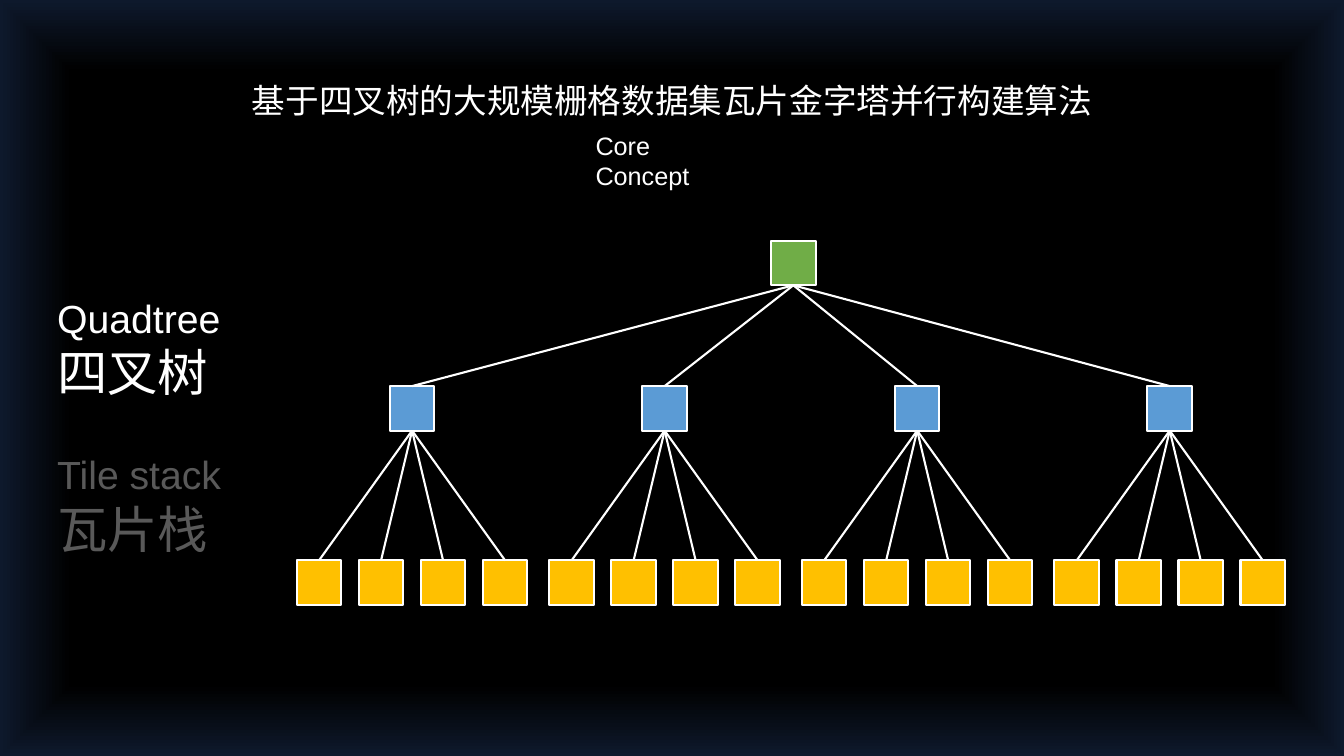
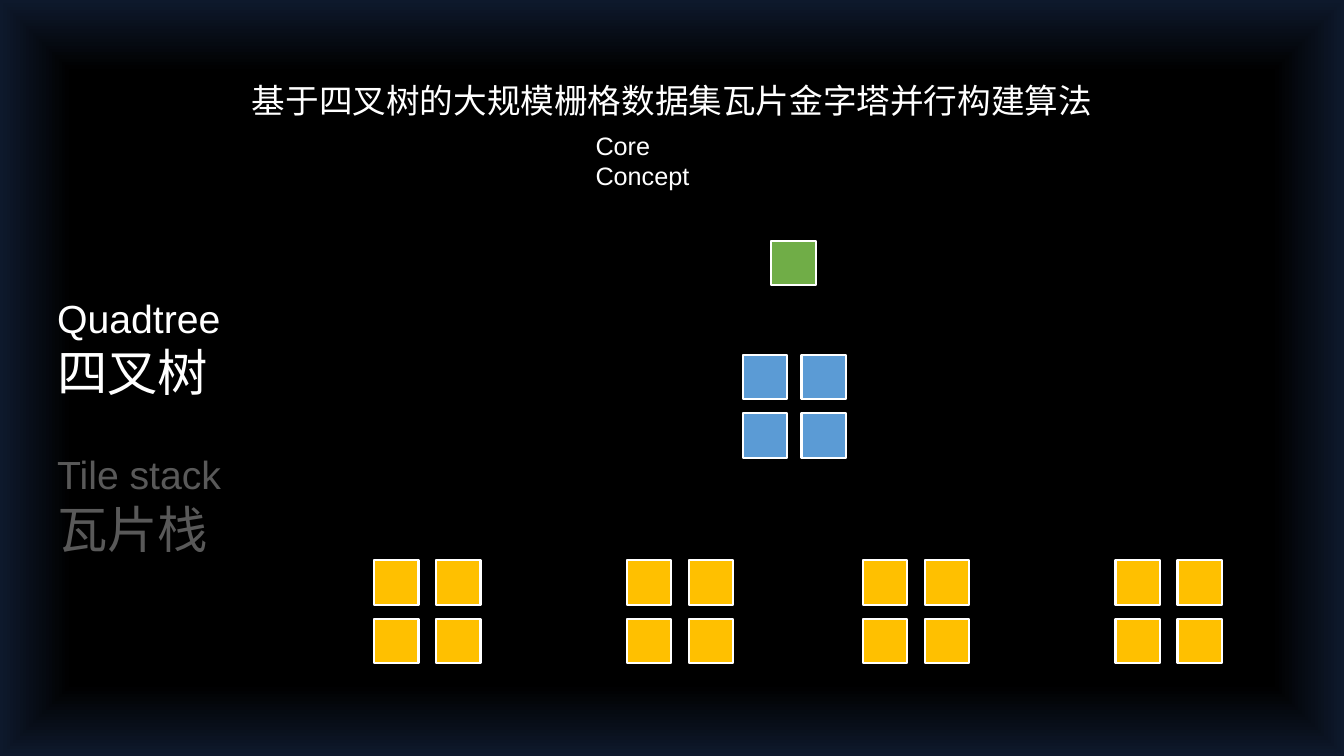
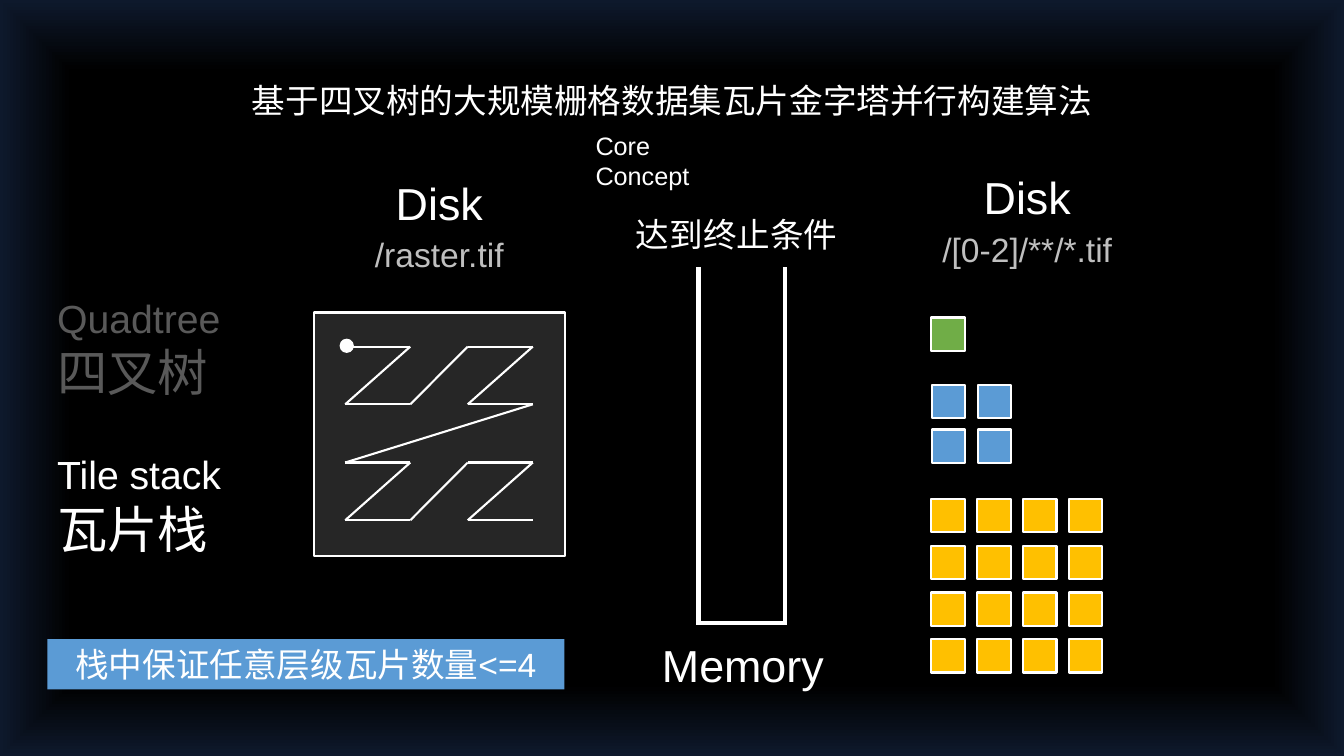
import itertools

import pptx
import pptx.dml.color
import pptx.enum.dml
import pptx.enum.shapes
import pptx.enum.text
import pptx.oxml
import pptx.oxml.ns
import pptx.util
from lxml import etree

Pt = pptx.util.Pt
RGBColor = pptx.dml.color.RGBColor
SHAPE = pptx.enum.shapes.MSO_SHAPE
ALIGN = pptx.enum.text.PP_ALIGN
qn = pptx.oxml.ns.qn

WHITE = RGBColor(0xFF, 0xFF, 0xFF)
BLACK = RGBColor(0x00, 0x00, 0x00)
NAVY = RGBColor(0x0E, 0x19, 0x2C)
DIM = RGBColor(0x59, 0x59, 0x59)
SILVER = RGBColor(0xBF, 0xBF, 0xBF)
CHARCOAL = RGBColor(0x26, 0x26, 0x26)
GREEN = RGBColor(0x70, 0xAD, 0x47)
BLUE = RGBColor(0x5B, 0x9B, 0xD5)
GOLD = RGBColor(0xFF, 0xC0, 0x00)

LATIN, HAN = "Arial", "Noto Sans CJK SC"
BACKDROP_STOPS = ((0, BLACK), (61, BLACK), (81, BLACK), (100, NAVY))
NODE, TILE = 31.8, 23.8
ROOT_LEFT, ROOT_TOP, LEAF_TOP = 550.8, 172, 400.3


def paint_backdrop(master):
    """Give the master a black backdrop that turns navy at its edges."""
    fill = master.background.fill
    fill.solid()
    fill.fore_color.rgb = BLACK
    solid = next(master.element.iter(qn("p:bgPr"))).find(qn("a:solidFill"))
    stops = "".join(
        f'<a:gs pos="{position * 1000}"><a:srgbClr val="{color}"/></a:gs>'
        for position, color in BACKDROP_STOPS
    )
    gradient = pptx.oxml.parse_xml(
        '<a:gradFill xmlns:a="http://schemas.openxmlformats.org/drawingml/2006/main" '
        f'rotWithShape="1"><a:gsLst>{stops}</a:gsLst><a:path path="shape">'
        '<a:fillToRect l="50000" t="50000" r="50000" b="50000"/></a:path></a:gradFill>'
    )
    solid.getparent().replace(solid, gradient)


def write(frame, text, size, color=WHITE, align=ALIGN.LEFT, font=LATIN):
    """Fill a text frame with one formatted line."""
    frame.word_wrap = True
    para = frame.paragraphs[0]
    para.alignment = align
    span = para.add_run()
    span.text = text
    span.font.color.rgb = color
    for name, value in {"size": Pt(size), "name": font}.items():
        setattr(span.font, name, value)
    etree.SubElement(span.font._element, qn("a:ea"), typeface=HAN)


def add_text(page, left, top, width, height, text, size, **style):
    """Place a text box."""
    box = page.shapes.add_textbox(Pt(left), Pt(top), Pt(width), Pt(height))
    write(box.text_frame, text, size, **style)


def add_block(page, left, top, width, height, fill, outline=WHITE, kind=SHAPE.RECTANGLE):
    """Place a filled shape, outlined unless the outline is None."""
    block = page.shapes.add_shape(kind, Pt(left), Pt(top), Pt(width), Pt(height))
    block.shadow.inherit = False
    block.fill.solid()
    block.fill.fore_color.rgb = fill
    if outline is None:
        block.line.fill.background()
    else:
        block.line.color.rgb = outline
        block.line.width = Pt(1.5)
    return block


def add_line(page, start, end, weight=1.5):
    """Join two points with a white line."""
    line = page.shapes.add_connector(
        pptx.enum.shapes.MSO_CONNECTOR.STRAIGHT, *map(Pt, (*start, *end))
    )
    line.line.color.rgb = WHITE
    line.line.width = Pt(weight)
    etree.SubElement(line._element.spPr, qn("a:effectLst"))


def add_grid(page, left, top, columns, rows, pitch_x, pitch_y, size, fill):
    """Place a grid of equal squares."""
    for row, column in itertools.product(range(rows), range(columns)):
        add_block(page, left + column * pitch_x, top + row * pitch_y, size, size, fill)


def add_topic(page, left, top, english, chinese, active):
    """Place a two-language topic, dimmed unless it is active."""
    color = WHITE if active else DIM
    add_text(page, left, top + 33.5, 127, 51, chinese, 36, color=color)
    add_text(page, left, top, 138, 41, english, 28, color=color)


def add_page(deck, active):
    """Add a slide with the shared title and topics."""
    page = deck.slides.add_slide(deck.slide_layouts[6])
    add_text(page, 171.4, 53.3, 617, 36, "基于四叉树的大规模栅格数据集瓦片金字塔并行构建算法", 24,
             align=ALIGN.CENTER, font=HAN)
    add_text(page, 418.3, 89.3, 123, 29, "Core Concept", 18)
    topics = (("Quadtree", "四叉树"), ("Tile stack", "瓦片栈"))
    for index, (english, chinese) in enumerate(topics):
        add_topic(page, 33.8, 206.6 + 111.8 * index, english, chinese, english == active)
    return page


def add_branch(page, left, top, root):
    """Draw a parent square and its four children, joined to the root."""
    pitch, drop = 44.3, 124.5
    parent_left = left + 1.5 * pitch
    center = parent_left + NODE / 2
    add_block(page, parent_left, top, NODE, NODE, BLUE)
    add_grid(page, left, top + drop, 4, 1, pitch, 0, NODE, GOLD)
    add_line(page, root, (center, top))
    for child in range(4):
        add_line(page, (center, top + NODE), (left + child * pitch + NODE / 2, top + drop))


def add_raster(page, left, top):
    """Draw the raster panel with its Z-order scan."""
    add_block(page, left, top, 179.3, 174.2, CHARCOAL)
    add_block(page, left + 18, top + 18.7, 10.2, 10.2, WHITE, None, SHAPE.OVAL)
    starts = [(left + x, top + y) for y in (24.4, 107.2) for x in (22, 109.5)]
    points = [(x + dx, y + dy) for x, y in starts for dy in (0, 41.2) for dx in (0, 46.5)]
    for start, end in itertools.pairwise(points):
        add_line(page, start, end)


def add_memory(page, left, top):
    """Draw the open-topped memory stack."""
    width, height = 61.9, 255.6
    for x in (left, left + width):
        add_line(page, (x, top), (x, top + height), 3)
    floor = top + height - 1.4
    add_line(page, (left, floor), (left + width, floor), 3)


def add_pyramid(page, left, top):
    """Draw the three stored tile levels."""
    add_block(page, left, top, TILE, TILE, GREEN)
    add_grid(page, left + 0.3, top + 48.3, 2, 2, 32.8, 31.7, TILE, BLUE)
    add_grid(page, left, top + 129.6, 4, 4, 32.8, 33.4, TILE, GOLD)


def add_disk(page, center, top, location):
    """Place a disk heading above its file location."""
    add_text(page, center - 41, top, 82, 46, "Disk", 32, align=ALIGN.CENTER)
    add_text(page, center - 77.5, top + 42, 155, 36, location, 24,
             color=SILVER, align=ALIGN.CENTER)


def build_tree(deck):
    """Build the quadtree slide."""
    page = add_page(deck, "Quadtree")
    add_block(page, ROOT_LEFT, ROOT_TOP, NODE, NODE, GREEN)
    for index in range(4):
        add_branch(page, 212 + 180.4 * index, 275.8,
                   (ROOT_LEFT + NODE / 2, ROOT_TOP + NODE))


def build_levels(deck):
    """Build the slide of tile levels."""
    page = add_page(deck, "Quadtree")
    add_block(page, ROOT_LEFT, ROOT_TOP, NODE, NODE, GREEN)
    add_grid(page, 530.5, 253.4, 2, 2, 42, 41.8, NODE, BLUE)
    for left in (267.2, 447.8, 616.3, 796.8):
        add_grid(page, left, LEAF_TOP, 2, 2, 44.3, 41.8, NODE, GOLD)


def build_stack(deck):
    """Build the tile stack slide."""
    page = add_page(deck, "Tile stack")
    add_raster(page, 224.6, 223.2)
    add_memory(page, 499, 190.8)
    add_pyramid(page, 665.3, 226.8)
    add_disk(page, 313.8, 121.7, "/raster.tif")
    add_disk(page, 733.8, 118, "/[0-2]/**/*.tif")
    add_text(page, 447.1, 149, 165, 36, "达到终止条件", 24)
    add_text(page, 459.4, 452.2, 142.5, 46, "Memory", 32, align=ALIGN.CENTER)
    banner = add_block(page, 33.8, 456.5, 369.4, 36, BLUE, None)
    write(banner.text_frame, "栈中保证任意层级瓦片数量<=4", 24, align=ALIGN.CENTER)


def main():
    """Build and save the deck."""
    deck = pptx.Presentation()
    deck.slide_width, deck.slide_height = Pt(960), Pt(540)
    paint_backdrop(deck.slide_master)
    for build in (build_tree, build_levels, build_stack):
        build(deck)
    deck.save("out.pptx")


if __name__ == "__main__":
    main()
